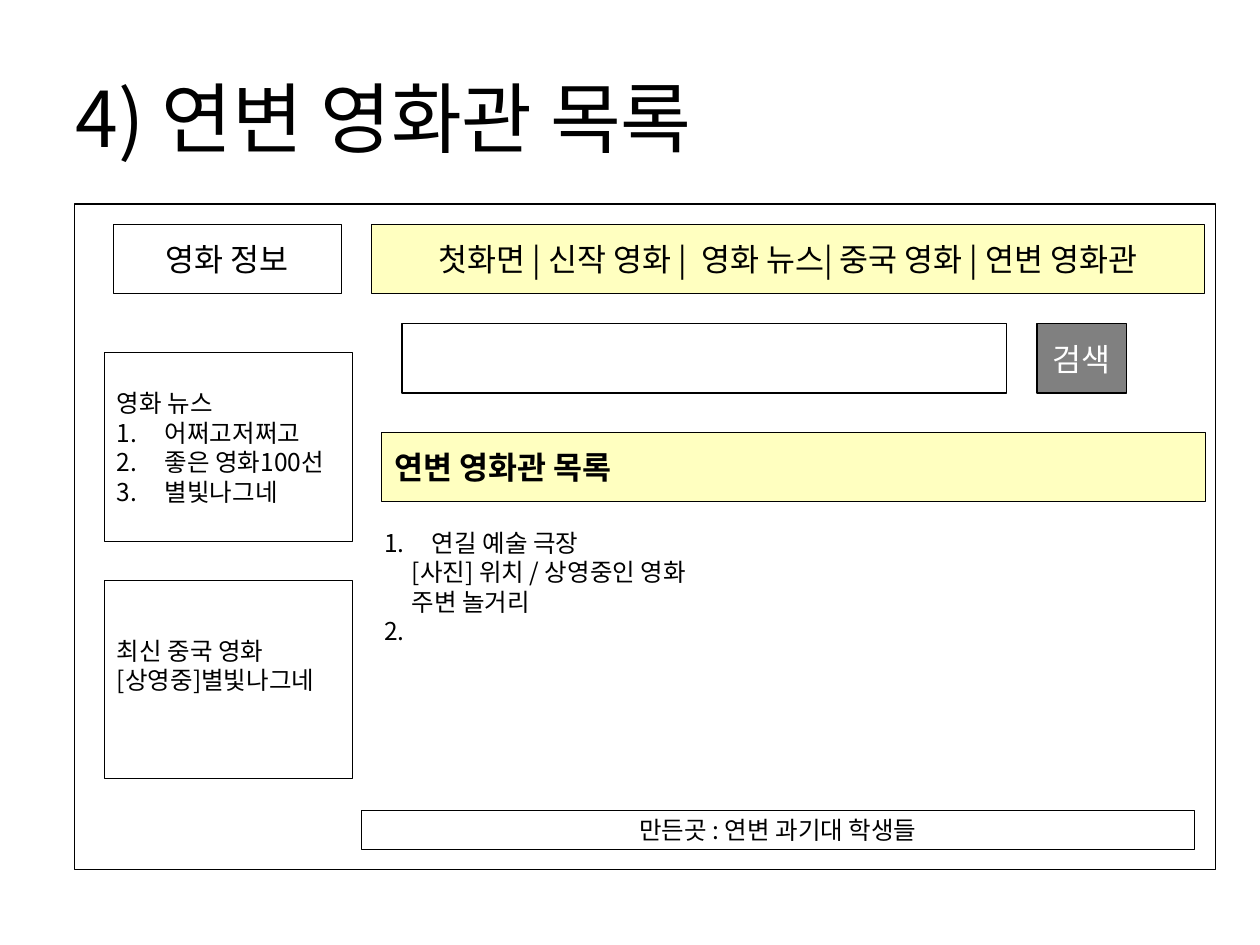
from dataclasses import dataclass
from pptx import Presentation, util as u
from pptx.dml.color import RGBColor
from pptx.enum import shapes, text
from pptx.oxml.ns import qn
from lxml import etree

LEFT, MID = text.PP_ALIGN.LEFT, text.PP_ALIGN.CENTER


@dataclass
class Theme:
    font: str = "Noto Sans CJK KR"
    ink: str = "000000"
    white: str = "FFFFFF"
    gray: str = "808080"
    cream: str = "FFFF99"
    alpha: int = 61
    title: int = 44
    head: int = 18
    body: int = 14
    line: float = 0.75
    hang: float = 0.38


def rgb(hue):
    return RGBColor.from_string(hue)


def put(obj, vals):
    for key, val in vals.items():
        setattr(obj, key, val)


class Page:
    """Draws styled elements on one slide."""

    def __init__(self, slide, theme):
        self.slide, self.theme = slide, theme

    def fill(self, frame, lines, size, hue, align=LEFT, bold=False,
             anchor=text.MSO_ANCHOR.MIDDLE, wrap=False, base=0.05):
        put(frame, {"word_wrap": wrap, "vertical_anchor": anchor,
                    "margin_left": u.Inches(0.1), "margin_right": u.Inches(0.1),
                    "margin_top": u.Inches(0.05), "margin_bottom": u.Inches(base)})
        for pos, item in enumerate(lines):
            words, num, dent = item if isinstance(item, tuple) else (item, 0, 0)
            para = frame.add_paragraph() if pos else frame.paragraphs[0]
            para.alignment = align
            run = para.add_run()
            run.text = words
            put(run.font, {"name": self.theme.font, "size": u.Pt(size), "bold": bold})
            run.font.color.rgb = rgb(hue)
            east = etree.SubElement(run.font._element, qn("a:ea"))
            east.set("typeface", self.theme.font)
            if num or dent:
                self.indent(para, num, dent)

    def indent(self, para, num, dent):
        props = para._p.get_or_add_pPr()
        left = self.theme.hang if num else dent
        props.set("marL", str(u.Inches(left)))
        props.set("indent", str(u.Inches(-left if num else 0)))
        if num:
            mark = etree.SubElement(props, qn("a:buAutoNum"))
            mark.set("type", "arabicPeriod")
            if dent:
                mark.set("startAt", str(num))

    def note(self, box, lines, size, **opts):
        shape = self.slide.shapes.add_textbox(*map(u.Inches, box))
        self.fill(shape.text_frame, lines, size, self.theme.ink, wrap=True, **opts)

    def rect(self, box, lines=(), size=None, hue=None, back=None, alpha=None, **opts):
        shape = self.slide.shapes.add_shape(
            shapes.MSO_SHAPE.RECTANGLE, *map(u.Inches, box))
        shape.shadow.inherit = False
        shape.line.color.rgb = rgb(self.theme.ink)
        shape.line.width = u.Pt(self.theme.line)
        if back:
            shape.fill.solid()
            shape.fill.fore_color.rgb = rgb(back)
        else:
            shape.fill.background()
        if alpha:
            tone = shape._element.spPr.find(qn("a:solidFill"))[0]
            etree.SubElement(tone, qn("a:alpha")).set("val", str(alpha * 1000))
        if lines:
            self.fill(shape.text_frame, lines, size, hue or self.theme.ink, **opts)


def main():
    deck = Presentation()
    put(deck, {"slide_width": u.Inches(10), "slide_height": u.Inches(7.5)})
    look = Theme()
    page = Page(deck.slides.add_slide(deck.slide_layouts[6]), look)
    tint = {"back": look.cream, "alpha": look.alpha}
    tall = 0.55

    page.note((0.5, 0.3, 9, 1.25), ["4) 연변 영화관 목록"], look.title)
    page.rect((0.59, 1.62, 9.06, 5.28))
    page.rect((0.9, 1.78, 1.81, tall), ["영화 정보"], look.head, align=MID)
    page.rect((2.95, 1.78, 6.61, tall),
              ["첫화면 | 신작 영화 |  영화 뉴스| 중국 영화 | 연변 영화관"],
              look.head, align=MID, **tint)

    news = ["어쩌고저쩌고", "좋은 영화100선", "별빛나그네"]
    page.rect((0.83, 2.8, 1.97, 1.5),
              ["영화 뉴스"] + [(item, 1, 0) for item in news], look.body)
    page.rect((0.83, 4.61, 1.97, 1.57),
              ["최신 중국 영화", "[상영중]별빛나그네"], look.body, base=0.28)

    page.rect((3.19, 2.57, 4.8, tall))
    page.rect((8.23, 2.57, 0.71, tall), ["검색"], look.head, look.white,
              look.gray, align=MID)
    page.rect((3.03, 3.43, 6.54, tall), ["연변 영화관 목록"], look.head,
              bold=True, **tint)
    page.rect((2.87, 6.43, 6.61, 0.31), ["만든곳 : 연변 과기대 학생들"],
              look.body, align=MID)
    page.note((2.95, 4.14, 6.56, 1.27),
              [("연길 예술 극장", 1, 0),
               ("[사진] 위치 / 상영중인 영화", 0, 0.22),
               ("주변 놀거리", 0, 0.22),
               (" ", 2, 1)],
              look.body, anchor=text.MSO_ANCHOR.TOP)
    deck.save("out.pptx")


if __name__ == "__main__":
    main()
